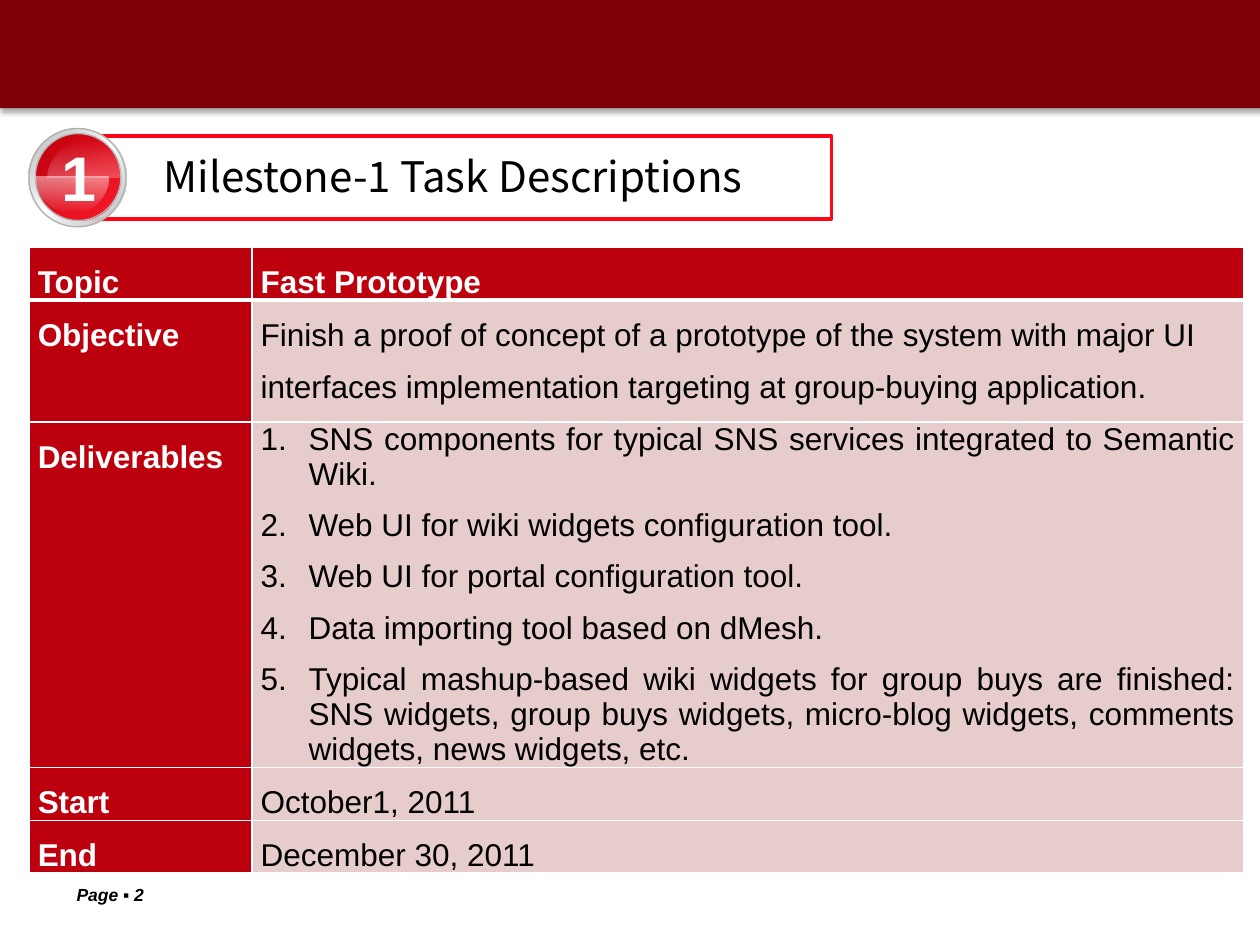
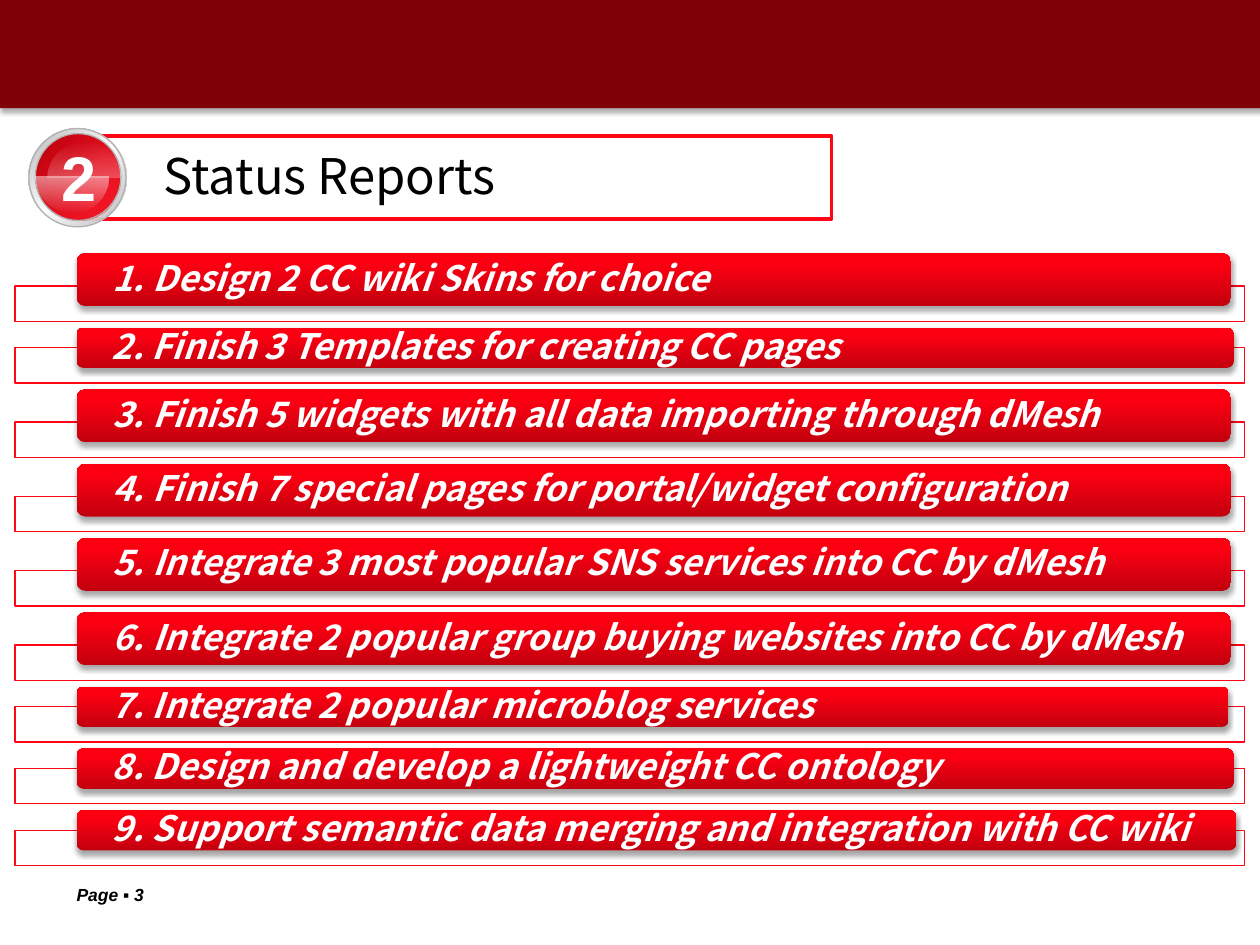
from math import cos, pi, sin

from lxml.etree import SubElement
from pptx import Presentation
from pptx.dml.color import RGBColor
from pptx.enum.shapes import MSO_SHAPE as SHAPE
from pptx.enum.text import MSO_ANCHOR as ANCHOR, MSO_AUTO_SIZE as AUTO, PP_ALIGN as ALIGN
from pptx.oxml import parse_xml
from pptx.oxml.ns import nsdecls, qn
from pptx.util import Inches, Pt

# Content
MILESTONE = {"number": "1", "title": "Milestone-1 Task Descriptions", "size": 24, "page": "Page ▪ 2"}
STATUS = {"number": "2", "title": "Status Reports", "size": 28, "page": "Page ▪ 3"}

DELIVERABLES = [
    "SNS components for typical SNS services integrated to Semantic Wiki.",
    "Web UI for wiki widgets configuration tool.",
    "Web UI for portal configuration tool.",
    "Data importing tool based on dMesh.",
    "Typical mashup-based wiki widgets for group buys are finished: SNS widgets, "
    "group buys widgets, micro-blog widgets, comments widgets, news widgets, etc.",
]
TASK_ROWS = [  # label, text or numbered list, row height
    ("Topic", "Fast Prototype", 0.41),
    ("Objective", "Finish a proof of concept of a prototype of the system with major UI "
                  "interfaces implementation targeting at group-buying application.", 0.97),
    ("Deliverables", DELIVERABLES, 2.66),
    ("Start", "October1, 2011", 0.41),
    ("End", "December 30, 2011", 0.41),
]
TALL, SHORT = 0.42, 0.32
REPORTS = [  # text, bar height, bar width
    ("1. Design 2 CC wiki Skins for choice", TALL, 9.16),
    ("2. Finish 3 Templates for creating CC pages", SHORT, 9.18),
    ("3. Finish 5 widgets with all data importing through dMesh", TALL, 9.16),
    ("4. Finish 7 special pages for portal/widget configuration", TALL, 9.16),
    ("5. Integrate 3 most popular SNS services into CC by dMesh", TALL, 9.16),
    ("6. Integrate 2 popular group buying websites into CC by dMesh", TALL, 9.16),
    ("7. Integrate 2 popular microblog services", SHORT, 9.14),
    ("8. Design and develop a lightweight CC ontology", SHORT, 9.18),
    ("9. Support semantic data merging and integration with CC wiki", SHORT, 9.2),
]

# Shared style
COLORS = {
    "band": "800008", "red": "FF0517", "dark_red": "BC000D", "pink": "E7CCCC",
    "bar_low": "C2000E", "bar_mid": "FC0012", "bar_top": "FD0012",
    "silver": "B2B2B2", "white": "FFFFFF", "black": "000000",
}
SANS, CJK = "Arial", "Noto Sans CJK SC"


def rgb(name):
    return RGBColor.from_string(COLORS[name])


def write(tf, text, new=False, font=SANS, size=18, color="black", bold=False, italic=False,
          align=ALIGN.LEFT, spacing=1.0, before=0, after=0):
    """Put text in the first paragraph, or in a new one, and return the paragraph."""
    p = tf.add_paragraph() if new else tf.paragraphs[0]
    p.alignment, p.line_spacing = align, spacing
    p.space_before, p.space_after = Pt(before), Pt(after)
    r = p.add_run()
    r.text = text
    f = r.font
    f.name, f.size, f.bold, f.italic = font, Pt(size), bold, italic
    f.color.rgb = rgb(color)
    if font == CJK:
        SubElement(f._element, qn("a:ea"), typeface=font)
    return p


def set_frame(tf, left=0.1, top=0.05, right=0.1, bottom=0.05, anchor=ANCHOR.MIDDLE):
    tf.word_wrap, tf.auto_size, tf.vertical_anchor = True, AUTO.NONE, anchor
    tf.margin_left, tf.margin_top = Inches(left), Inches(top)
    tf.margin_right, tf.margin_bottom = Inches(right), Inches(bottom)
    return tf


def paint(sp, fill=None, line=None, width=0.75, shadow=False):
    sp.shadow.inherit = False
    if fill:
        sp.fill.solid()
        sp.fill.fore_color.rgb = rgb(fill)
    if line:
        sp.line.color.rgb = rgb(line)
        sp.line.width = Pt(width)
    else:
        sp.line.fill.background()
    if shadow:
        sp.element.spPr.find(qn("a:effectLst")).append(parse_xml(
            f'<a:outerShdw {nsdecls("a")} blurRad="{Pt(3.1)}" dist="{Pt(1.8)}" dir="5400000" '
            f'rotWithShape="0"><a:srgbClr val="{COLORS["black"]}"><a:alpha val="35000"/>'
            '</a:srgbClr></a:outerShdw>'))
    return sp


def gradient(sp, stops, angle):
    """Fill with (position %, colour, opacity %) stops."""
    gs = "".join(f'<a:gs pos="{pos * 1000}"><a:srgbClr val="{COLORS[c]}">'
                 f'<a:alpha val="{alpha * 1000}"/></a:srgbClr></a:gs>' for pos, c, alpha in stops)
    sp.fill.background()
    old = sp.element.spPr.find(qn("a:noFill"))
    old.getparent().replace(old, parse_xml(
        f'<a:gradFill {nsdecls("a")} rotWithShape="1"><a:gsLst>{gs}</a:gsLst>'
        f'<a:lin ang="{angle * 60000}" scaled="0"/></a:gradFill>'))


def add_box(shapes, kind, x, y, w, h, **style):
    sp = shapes.add_shape(kind, Inches(x), Inches(y), Inches(w), Inches(h))
    return paint(sp, **style)


def add_text(shapes, x, y, w, h, anchor=ANCHOR.MIDDLE):
    box = shapes.add_textbox(Inches(x), Inches(y), Inches(w), Inches(h))
    return set_frame(box.text_frame, anchor=anchor)


def add_gloss(shapes, cx, cy, side, opacity):
    """Half disc above (side -1) or below (side 1) its centre, clear at the rim."""
    radius, steps = 0.29, 24
    points = [(Inches(cx + radius * cos(pi * i / steps)),
               Inches(cy + side * radius * sin(pi * i / steps))) for i in range(steps + 1)]
    builder = shapes.build_freeform(*points[0])
    builder.add_line_segments(points[1:], close=True)
    sp = paint(builder.convert_to_shape())
    gradient(sp, [(0, "white", 0), (100, "white", opacity)], 90 if side < 0 else 270)


def add_slide(prs, number, title, size, page):
    slide = prs.slides.add_slide(prs.slide_layouts[5])

    # Heading frame with numbered badge
    shapes = slide.shapes.add_group_shape().shapes
    add_box(shapes, SHAPE.RECTANGLE, 0.55, 1.08, 6.05, 0.66, fill="white", line="red", width=2)
    ring = add_box(shapes, SHAPE.OVAL, 0.23, 1.02, 0.77, 0.78, line="silver")
    gradient(ring, [(0, "silver", 90), (50, "white", 100), (100, "silver", 90)], 45)
    disc = add_box(shapes, SHAPE.OVAL, 0.28, 1.06, 0.68, 0.69, line="silver")
    gradient(disc, [(0, "dark_red", 100), (100, "red", 90)], 45)
    add_gloss(shapes, 0.67, 1.41, -1, 26)
    add_gloss(shapes, 0.57, 1.4, 1, 50)
    write(add_text(shapes, 0.36, 1.12, 0.54, 0.56), number, size=36, color="white",
          bold=True, align=ALIGN.CENTER)

    # Title, brought in front of the heading frame
    sp = slide.shapes.title
    sp.left, sp.top, sp.width, sp.height = (Inches(v) for v in (1.2, 1.14, 5.69, 0.56))
    write(set_frame(sp.text_frame), title, font=CJK, size=size, spacing=0.9)
    slide.shapes.element.append(sp.element)

    # Page label
    write(add_text(slide.shapes, 0.51, 6.97, 1.57, 0.22, ANCHOR.TOP), page, size=10,
          bold=True, italic=True)
    return slide


def add_band(prs, slide):
    """Draw the top band and hand it to the layout that every slide uses."""
    band = add_box(slide.shapes, SHAPE.RECTANGLE, 0, 0, 10.04, 0.86, fill="band", shadow=True)
    slide.slide_layout.shapes.element.insert(2, band.element)


def style_cell(cell, fill, top, bottom):
    cell.fill.solid()
    cell.fill.fore_color.rgb = rgb(fill)
    cell.margin_left = cell.margin_right = Inches(0.07)
    cell.margin_top = cell.margin_bottom = 0
    tc_pr = cell._tc.get_or_add_tcPr()
    for i, (side, width) in enumerate([("L", 1), ("R", 1), ("T", top), ("B", bottom)]):
        tc_pr.insert(i, parse_xml(
            f'<a:ln{side} {nsdecls("a")} w="{Pt(width)}"><a:solidFill>'
            f'<a:srgbClr val="{COLORS["white"]}"/></a:solidFill></a:ln{side}>'))


def add_task_table(slide):
    heights = [h for _, _, h in TASK_ROWS]
    table = slide.shapes.add_table(len(TASK_ROWS), 2, Inches(0.23), Inches(1.96),
                                   Inches(9.64), Inches(sum(heights))).table
    table.first_row = table.horz_banding = False
    for col, width in zip(table.columns, (1.77, 7.87)):
        col.width = Inches(width)
    for i, (label, content, height) in enumerate(TASK_ROWS):
        table.rows[i].height = Inches(height)
        for j, text in enumerate((label, content)):
            cell = table.cell(i, j)
            header = i == 0 or j == 0
            style_cell(cell, "dark_red" if header else "pink",
                       top=3 if i == 1 else 1, bottom=3 if i == 0 else 1)
            tf = cell.text_frame
            if isinstance(text, list):
                for n, item in enumerate(text):
                    p = write(tf, item, new=n > 0, align=ALIGN.JUSTIFY, before=3, after=6)
                    p_pr = p._p.get_or_add_pPr()
                    p_pr.set("marL", str(Inches(0.38)))
                    p_pr.set("indent", str(-Inches(0.38)))
                    SubElement(p_pr, qn("a:buFont"), typeface="+mj-lt")
                    SubElement(p_pr, qn("a:buAutoNum"), type="arabicPeriod")
            else:
                write(tf, text, color="white" if header else "black", bold=header,
                      spacing=1.5, before=3)


def add_report_bars(slide):
    shapes = slide.shapes.add_group_shape().shapes
    y = 2.01
    for text, height, width in REPORTS:
        add_box(shapes, SHAPE.RECTANGLE, 0.12, y + height - 0.16, 9.76, 0.28,
                fill="white", line="red")
        bar = add_box(shapes, SHAPE.ROUNDED_RECTANGLE, 0.61, y, width, height, shadow=True)
        gradient(bar, [(0, "bar_low", 100), (80, "bar_mid", 100), (100, "bar_top", 100)], 270)
        tf = set_frame(bar.text_frame, left=0.26, top=0, right=0, bottom=0)
        write(tf, text, font=CJK, size=20, color="white", bold=True, italic=True, spacing=0.9)
        y += height + 0.17


def main():
    prs = Presentation()
    prs.slide_width, prs.slide_height = Inches(10), Inches(7.5)
    milestone = add_slide(prs, **MILESTONE)
    add_band(prs, milestone)
    add_task_table(milestone)
    add_report_bars(add_slide(prs, **STATUS))
    prs.save("out.pptx")


if __name__ == "__main__":
    main()
